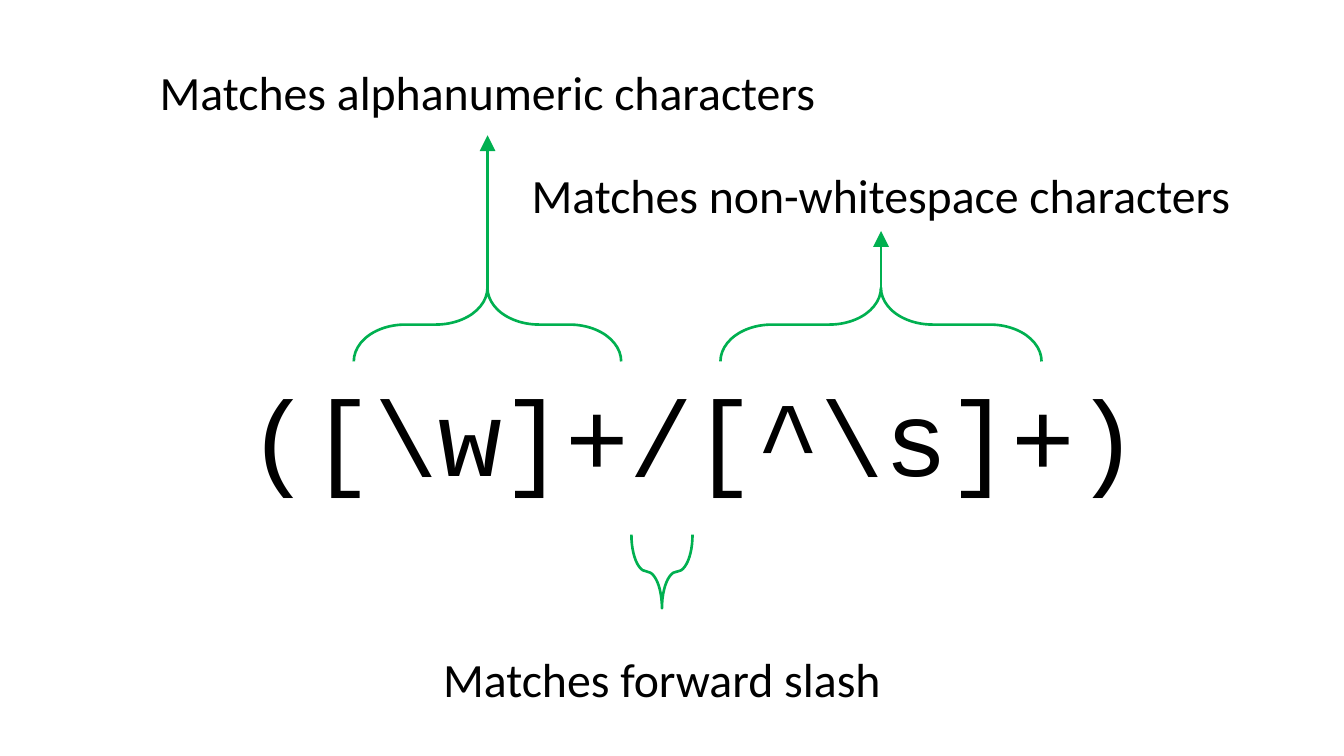
from lxml.etree import SubElement
from pptx import Presentation
from pptx.dml.color import RGBColor
from pptx.enum.shapes import MSO_CONNECTOR, MSO_SHAPE
from pptx.enum.text import MSO_AUTO_SIZE, PP_ALIGN
from pptx.oxml.ns import qn
from pptx.util import Pt

BLACK = RGBColor(0x00, 0x00, 0x00)
GREEN = RGBColor(0x00, 0xB0, 0x50)

deck = Presentation()
deck.slide_width = Pt(506.25)
deck.slide_height = deck.slide_width * 9 // 16
page = deck.slides.add_slide(deck.slide_layouts[6])

# The grid has 100 columns and 100 rows
COL = deck.slide_width / 100
ROW = deck.slide_height / 100


def add_text(text, center, top, width, height, size=18, font="Calibri"):
    """Add a centred text box; center and width in columns, top and height in rows."""
    box = page.shapes.add_textbox(int((center - width / 2) * COL), int(top * ROW),
                                  int(width * COL), int(height * ROW))
    frame = box.text_frame
    frame.word_wrap = True
    frame.auto_size = MSO_AUTO_SIZE.SHAPE_TO_FIT_TEXT
    para = frame.paragraphs[0]
    para.alignment = PP_ALIGN.CENTER
    span = para.add_run()
    span.text = text
    span.font.name = font
    span.font.size = Pt(size)
    span.font.color.rgb = BLACK


add_text(r"([\w]+/[^\s]+)", 51.54, 47.8, 117.9, 19.45, size=40, font="Courier New")

# Label, centre column of label and brace, label top, brace centre row, brace span, rotation
notes = [
    ("Matches alphanumeric characters", 36.28, 7.08, 42.93, 19.9, 270),
    ("Matches non-whitespace characters", 65.56, 20.73, 42.93, 23.9, 270),
    ("Matches forward slash", 49.25, 84.7, 75.6, 4.55, 90),
]
BRACE_DEPTH = 9.75 * ROW

for label, center, top, brace_row, brace_span, rotation in notes:
    add_text(label, center, top, 56.9, 6.57)
    span_length = brace_span * COL
    brace = page.shapes.add_shape(
        MSO_SHAPE.RIGHT_BRACE,
        int(center * COL - BRACE_DEPTH / 2), int(brace_row * ROW - span_length / 2),
        int(BRACE_DEPTH), int(span_length))
    brace.rotation = rotation
    brace.adjustments[0] = 0.7
    brace.adjustments[1] = 0.5
    brace.shadow.inherit = False
    brace.fill.background()
    brace.line.color.rgb = GREEN
    brace.line.width = Pt(1)

# Arrows from the brace tips up to the labels
for column, end_row in [(36.28, 17.9), (65.56, 30.55)]:
    arrow = page.shapes.add_connector(
        MSO_CONNECTOR.STRAIGHT,
        int(column * COL), int(38.1 * ROW), int(column * COL), int(end_row * ROW))
    arrow.line.color.rgb = GREEN
    arrow.line.width = Pt(1)
    SubElement(arrow.line._get_or_add_ln(), qn("a:tailEnd"), type="triangle")
    SubElement(arrow._element.spPr, qn("a:effectLst"))

deck.save("out.pptx")
